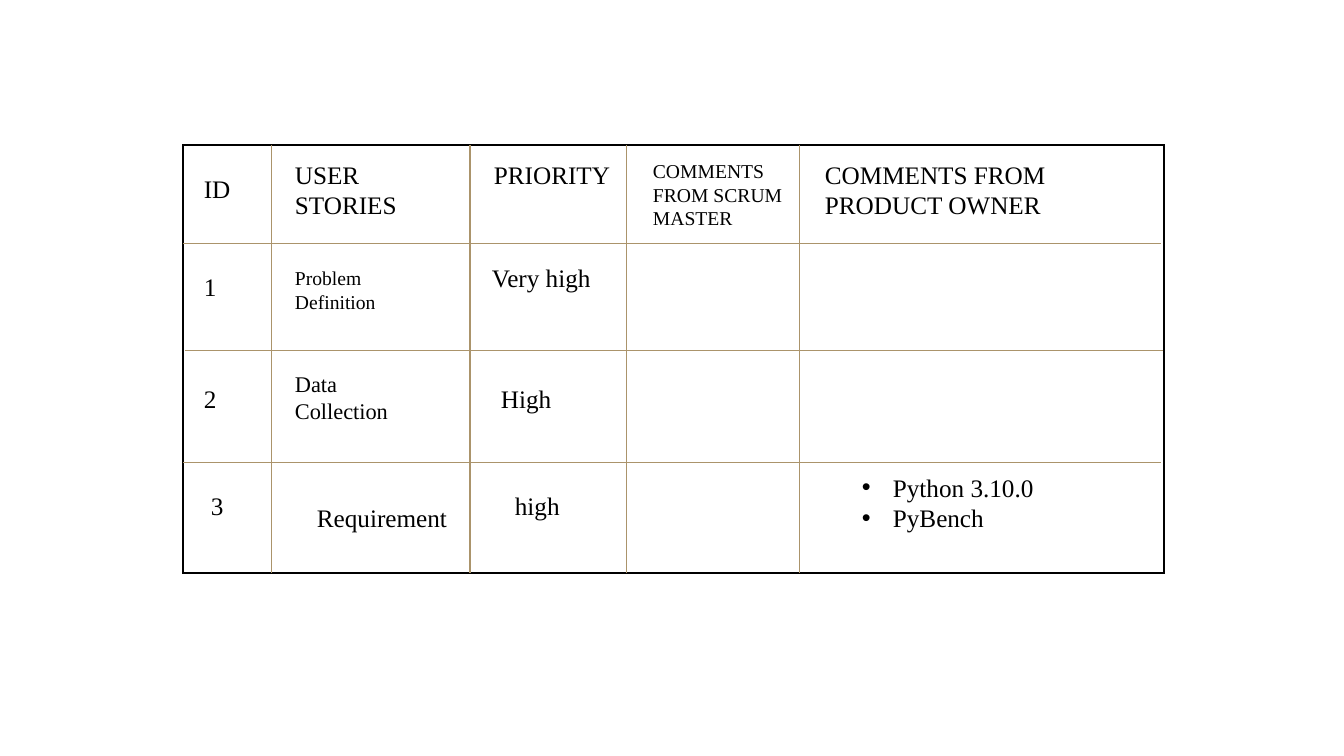
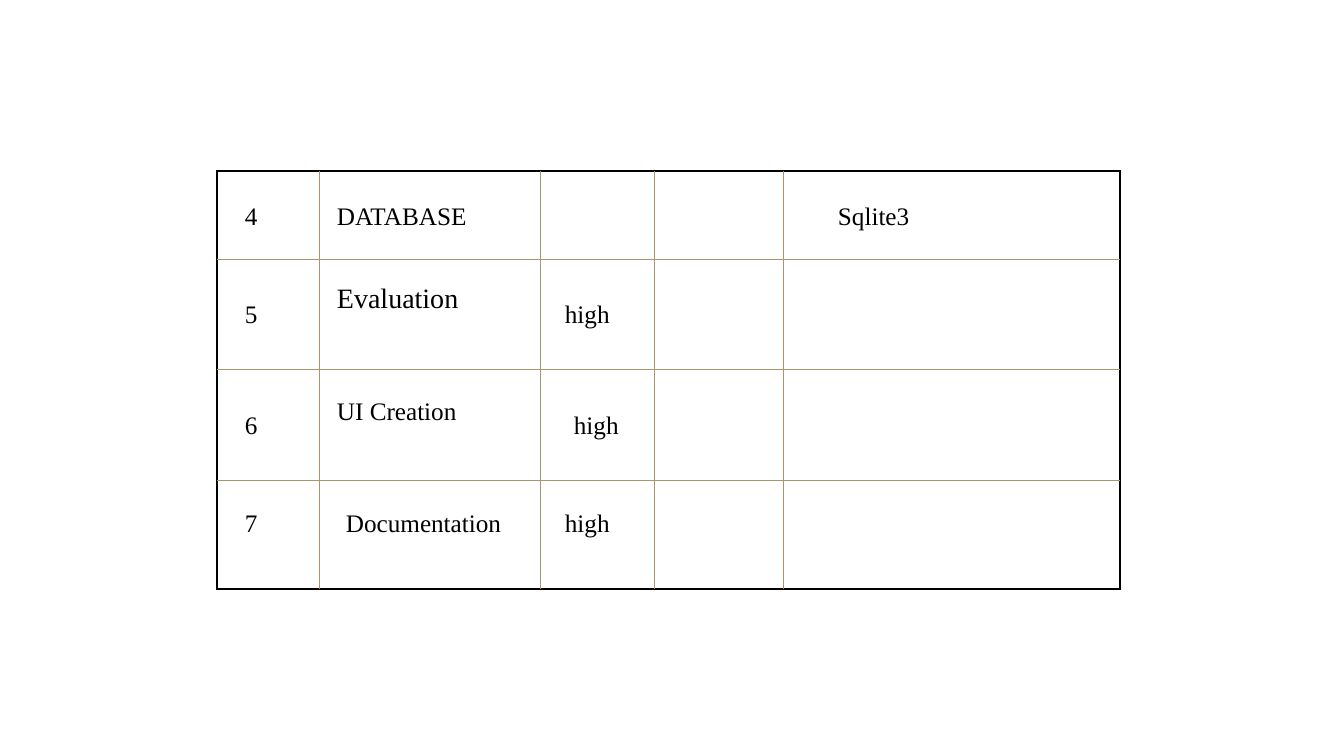
from lxml import etree
from pptx import Presentation
from pptx.dml.color import RGBColor
from pptx.enum.shapes import MSO_CONNECTOR
from pptx.enum.text import MSO_AUTO_SIZE, PP_ALIGN
from pptx.oxml.ns import qn
from pptx.util import Emu, Pt

STRAIGHT = MSO_CONNECTOR.STRAIGHT
LEFT, RIGHT = PP_ALIGN.LEFT, PP_ALIGN.RIGHT
FIT_SHAPE = MSO_AUTO_SIZE.SHAPE_TO_FIT_TEXT

FONT = "Times New Roman"
BLACK = "000000"
RULE = "AB946B"
SCALE = 914400 / 100.8
SLIDE_SIZE = (1344, 756)
LINE_HEIGHT = 40

# frame: left, top, width, height; row_rules: y, left, right
# entries: text, (left, top, width, height), format
BACKLOG = [
    {
        "frame": (183, 145, 981, 428),
        "row_rules": [(244, 183, 1161), (351, 185, 1163), (463, 183, 1161)],
        "column_rules": [272, 470, 627, 800],
        "entries": [
            ("ID", (194, 168, 65, LINE_HEIGHT), {}),
            ("USER STORIES", (285, 154, 184, 72), {}),
            ("PRIORITY", (484, 154, 144, LINE_HEIGHT), {}),
            ("COMMENTS FROM SCRUM MASTER", (643, 154, 155, 112), {"size": 14}),
            ("COMMENTS FROM PRODUCT OWNER", (815, 154, 335, 102), {}),
            ("1", (194, 266, 62, LINE_HEIGHT), {}),
            ("Problem Definition", (285, 261, 169, 34), {"size": 14}),
            ("Very high", (482, 257, 119, LINE_HEIGHT), {}),
            ("2", (194, 378, 71, LINE_HEIGHT), {}),
            ("Data Collection", (285, 365, 158, 68), {"size": 16}),
            ("High", (491, 378, 93, LINE_HEIGHT), {}),
            ("3", (201, 485, 64, LINE_HEIGHT), {}),
            ("Requirement", (279, 497, 178, 72), {"align": RIGHT}),
            ("high", (505, 485, 109, LINE_HEIGHT), {}),
            ("Python 3.10.0\nPyBench", (852, 467, 245, 102),
             {"indent": 31, "bullet": "•"}),
        ],
    },
    {
        "frame": (217, 171, 903, 418),
        "row_rules": [(y, 217, 1120) for y in (260, 370, 481)],
        "column_rules": [320, 541, 655, 784],
        "entries": [
            ("4", (235, 195, 74, LINE_HEIGHT), {}),
            ("DATABASE", (327, 195, 203, LINE_HEIGHT), {}),
            ("Sqlite3", (809, 195, 278, LINE_HEIGHT), {"indent": 19}),
            ("5", (235, 293, 74, LINE_HEIGHT), {}),
            ("Evaluation", (327, 276, 201, 75), {"size": 20}),
            ("high", (555, 293, 86, LINE_HEIGHT), {}),
            ("6", (235, 404, 74, LINE_HEIGHT), {}),
            ("UI Creation", (327, 390, 201, 72), {}),
            ("high", (564, 404, 78, LINE_HEIGHT), {}),
            ("7", (235, 502, 50, LINE_HEIGHT), {}),
            ("Documentation", (336, 502, 194, LINE_HEIGHT), {}),
            ("high", (555, 502, 86, LINE_HEIGHT), {}),
        ],
    },
]


def px(length):
    """Turn pixels into EMU."""
    return Emu(round(length * SCALE))


def color(value):
    """Turn a hex string into a colour."""
    return RGBColor.from_string(value)


def add_frame(slide, box):
    """Draw the one-cell table that encloses the grid."""
    table = slide.shapes.add_table(1, 1, *map(px, box)).table
    table.first_row = table.horz_banding = False
    cell = table.cell(0, 0)
    properties = cell._tc.get_or_add_tcPr()
    for side in ("a:lnL", "a:lnR", "a:lnT", "a:lnB"):
        border = etree.SubElement(properties, qn(side), w=str(Pt(1)))
        fill = etree.SubElement(border, qn("a:solidFill"))
        etree.SubElement(fill, qn("a:srgbClr"), val=BLACK)
    cell.fill.background()


def add_rule(slide, x1, y1, x2, y2):
    """Draw one thin grid line."""
    rule = slide.shapes.add_connector(STRAIGHT, *map(px, (x1, y1, x2, y2)))
    rule.line.color.rgb = color(RULE)
    rule.line.width = Pt(0.75)
    etree.SubElement(rule._element.spPr, qn("a:effectLst"))


def add_text(slide, text, box, size=18, align=LEFT, indent=0, bullet=None):
    """Write text, one paragraph per line, with optional bullets."""
    frame = slide.shapes.add_textbox(*map(px, box)).text_frame
    frame.word_wrap = True
    frame.auto_size = FIT_SHAPE
    frame.text = text
    for paragraph in frame.paragraphs:
        paragraph.alignment = align
        font = paragraph.runs[0].font
        font.name = FONT
        font.size = Pt(size)
        font.color.rgb = color(BLACK)
        properties = paragraph._p.get_or_add_pPr()
        if indent:
            properties.set("marL", str(px(indent)))
        if bullet:
            properties.set("indent", str(px(-indent)))
            etree.SubElement(properties, qn("a:buFont"), typeface="Arial")
            etree.SubElement(properties, qn("a:buChar"), char=bullet)


def add_backlog(slide, part):
    """Build one page of the backlog: frame, grid lines and entries."""
    add_frame(slide, part["frame"])
    _, top, _, height = part["frame"]
    for y, left, right in part["row_rules"]:
        add_rule(slide, left, y, right, y)
    for x in part["column_rules"]:
        add_rule(slide, x, top, x, top + height)
    for text, box, style in part["entries"]:
        add_text(slide, text, box, **style)


deck = Presentation()
deck.slide_width, deck.slide_height = map(px, SLIDE_SIZE)
for part in BACKLOG:
    add_backlog(deck.slides.add_slide(deck.slide_layouts[6]), part)
deck.save("out.pptx")
